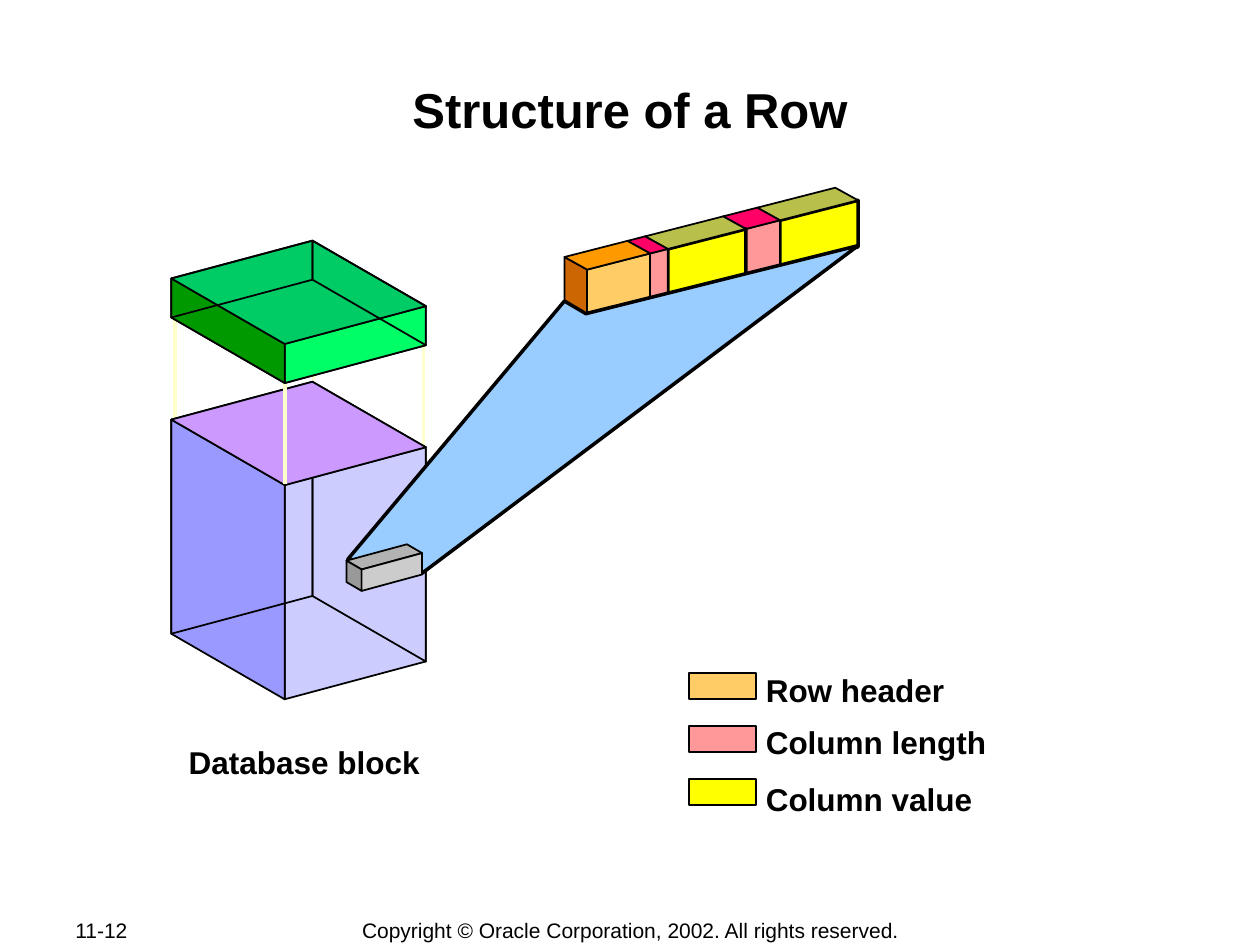
from pptx import Presentation
from pptx.dml.color import RGBColor as RGB
from pptx.enum.shapes import MSO_CONNECTOR as LINK, MSO_SHAPE as SHAPE
from pptx.enum.text import MSO_ANCHOR as ANCHOR, PP_ALIGN as ALIGN
from pptx.oxml.ns import qn
from pptx.util import Inches, Pt
from lxml.etree import SubElement

THEME = {
    "font": "Arial", "ink": "000000", "guide": "FFFFCC", "beam": "99CCFF",
    "head": "FFCC66", "length": "FF9999", "value": "FFFF00",
    "olive": "B9BF4B", "rose": "FF0066", "shade": "999999",
    "title": 28, "label": 18, "foot": 12, "thin": 1, "thick": 2,
}

deck = Presentation()
deck.slide_width, deck.slide_height = Inches(10), Inches(7.5)
slide = deck.slides.add_slide(deck.slide_layouts[6])
shapes = slide.shapes


def face(points, fill=None, width=THEME["thin"]):
    """Draw a closed outline through points given in inches."""
    spots = [(Inches(x), Inches(y)) for x, y in points]
    pen = shapes.build_freeform(*spots[0])
    pen.add_line_segments(spots[1:], close=True)
    form = pen.convert_to_shape()
    form.shadow.inherit = False
    if fill:
        form.fill.solid()
        form.fill.fore_color.rgb = RGB.from_string(fill)
    else:
        form.fill.background()
    form.line.color.rgb = RGB.from_string(THEME["ink"])
    form.line.width = Pt(width)
    return form


def box(left, run, depth, high, fills, bold=()):
    """Draw a slanted box from its top left corner; fills go back to front."""
    x, y = left
    back = (x + run[0], y + run[1])
    near = (x + depth[0], y + depth[1])
    right = (back[0] + depth[0], back[1] + depth[1])
    low = {p: (p[0], p[1] + high) for p in (left, back, near, right)}
    sides = {
        "top": (left, back, right, near),
        "base": (low[left], low[back], low[right], low[near]),
        "front": (near, right, low[right], low[near]),
        "left": (left, near, low[near], low[left]),
        "side": (back, right, low[right], low[back]),
        "rear": (left, back, low[back], low[left]),
    }
    parts = [face(sides[name], fill,
                  THEME["thick" if name in bold else "thin"])
             for name, fill in fills.items()]
    shapes.add_group_shape(parts)


# Guides behind the block, then the block and its lid
guides = [(2.49, 2.23, 3.02), (1.39, 2.47, 3.33), (3.36, 2.69, 3.54),
          (2.26, 3.03, 3.84)]


run, depth = (1.12, -0.3), (0.9, 0.52)
for step, (x, top, end) in enumerate(guides):
    if step == 3:
        box((1.36, 3.33), run, depth, 1.7,
            {"front": "CCCCFF", "left": "9999FF", "side": None,
             "rear": None, "top": "CC99FF"})
    line = shapes.add_connector(LINK.STRAIGHT, Inches(x), Inches(top),
                                Inches(x), Inches(end))
    line.line.color.rgb = RGB.from_string(THEME["guide"])
    line.line.width = Pt(THEME["thick"])
    SubElement(line._element.spPr, qn("a:effectLst"))
box((1.36, 2.21), run, depth, 0.31,
    {"base": "FFFF66", "front": "00FF66", "left": "009900",
     "top": "00CC66", "side": None, "rear": None})

# Row pieces, drawn from the far end to the near end
value = (THEME["value"], THEME["olive"], THEME["shade"], ["front"])
length = (THEME["length"], THEME["rose"], THEME["shade"], [])
head = (THEME["head"], "FF9900", "CC6600", [])
edges = [4.48, 4.98, 5.12, 5.74, 6.01, 6.63]
pieces = [head, length, value, length, value]
slope = -0.256
for start, end, (front, top, left, bold) in reversed(
        list(zip(edges, edges[1:], pieces))):
    box((start, 2.04 + slope * (start - edges[0])),
        (end - start, slope * (end - start)), (0.18, 0.1), 0.37,
        {"left": left, "front": front, "top": top}, bold)

# Legend
for y, name, fill in [(5.34, "Row header", THEME["head"]),
                      (5.76, "Column length", THEME["length"]),
                      (6.18, "Column value", THEME["value"])]:
    key = shapes.add_shape(SHAPE.RECTANGLE, Inches(5.47), Inches(y),
                           Inches(0.53), Inches(0.21))
    key.shadow.inherit = False
    key.fill.solid()
    key.fill.fore_color.rgb = RGB.from_string(fill)
    key.line.color.rgb = RGB.from_string(THEME["ink"])
    key.line.width = Pt(THEME["thin"])

# Beam from the small row in the block to the large one
face([(2.76, 4.44), (4.48, 2.39), (4.65, 2.49), (6.81, 1.95), (3.35, 4.55)],
     THEME["beam"], THEME["thick"])
box((2.75, 4.45), (0.48, -0.13), (0.12, 0.07), 0.17,
    {"top": "B2B2B2", "left": THEME["shade"], "front": "CCCCCC"})

# Text: place, words, size, bold, alignment, anchor
texts = [
    ((1, 0.58, 8, 0.96), "Structure of a Row", "title", True,
     ALIGN.CENTER, ANCHOR.TOP),
    ((1.26, 5.85, 2.31, 0.4), "Database block", "label", True,
     ALIGN.CENTER, ANCHOR.TOP),
    ((5.98, 5.28, 2, 0.4), "Row header", "label", True,
     ALIGN.LEFT, ANCHOR.TOP),
    ((5.98, 5.69, 2, 0.4), "Column length", "label", True,
     ALIGN.LEFT, ANCHOR.TOP),
    ((5.98, 6.14, 2, 0.4), "Column value", "label", True,
     ALIGN.LEFT, ANCHOR.TOP),
    ((0.5, 7.28, 1.06, 0.2), "11-12", "foot", False,
     ALIGN.LEFT, ANCHOR.MIDDLE),
    ((2.76, 7.28, 4.49, 0.21),
     "Copyright © Oracle Corporation, 2002. All rights reserved.", "foot",
     False, ALIGN.CENTER, ANCHOR.MIDDLE),
]
for place, words, size, bold, align, anchor in texts:
    frame = shapes.add_textbox(*map(Inches, place)).text_frame
    frame.word_wrap = True
    frame.vertical_anchor = anchor
    para = frame.paragraphs[0]
    para.text, para.alignment = words, align
    style = {"name": THEME["font"], "size": Pt(THEME[size]), "bold": bold}
    for key, val in style.items():
        setattr(para.font, key, val)
    para.font.color.rgb = RGB.from_string(THEME["ink"])

deck.save("out.pptx")
